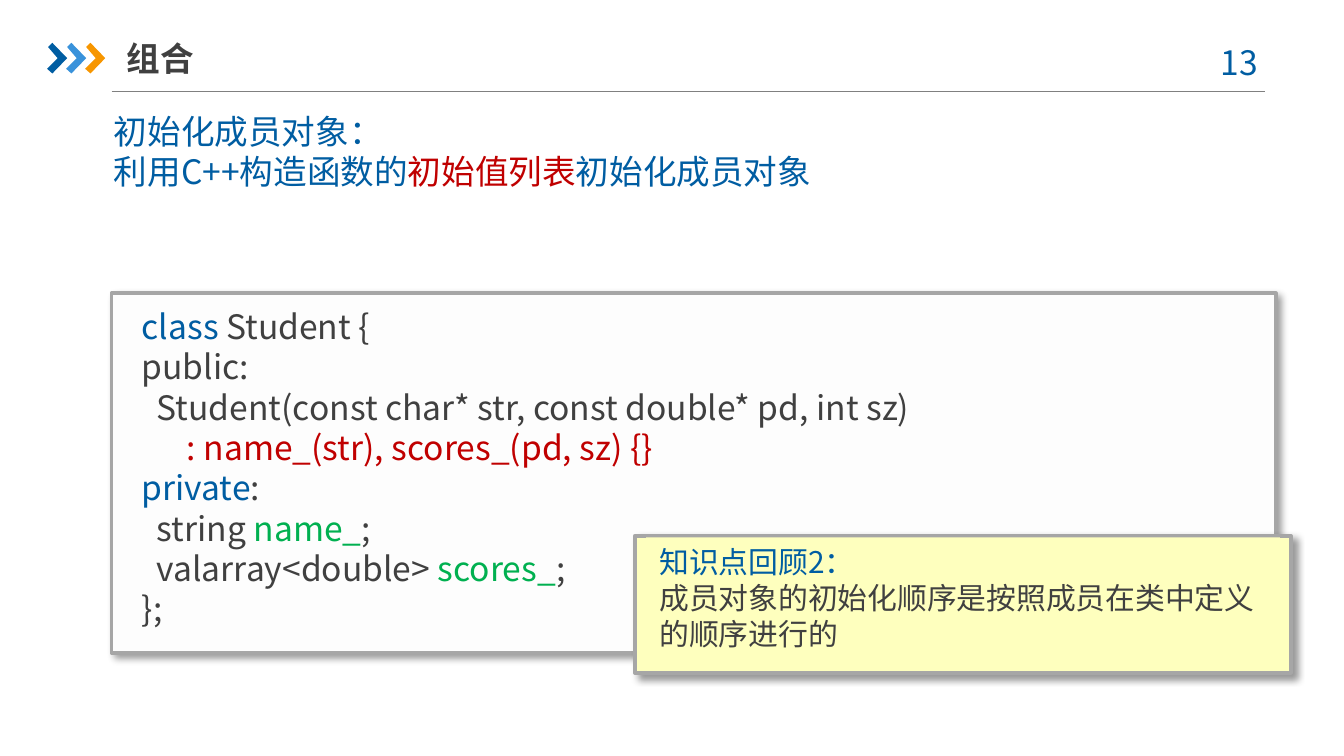
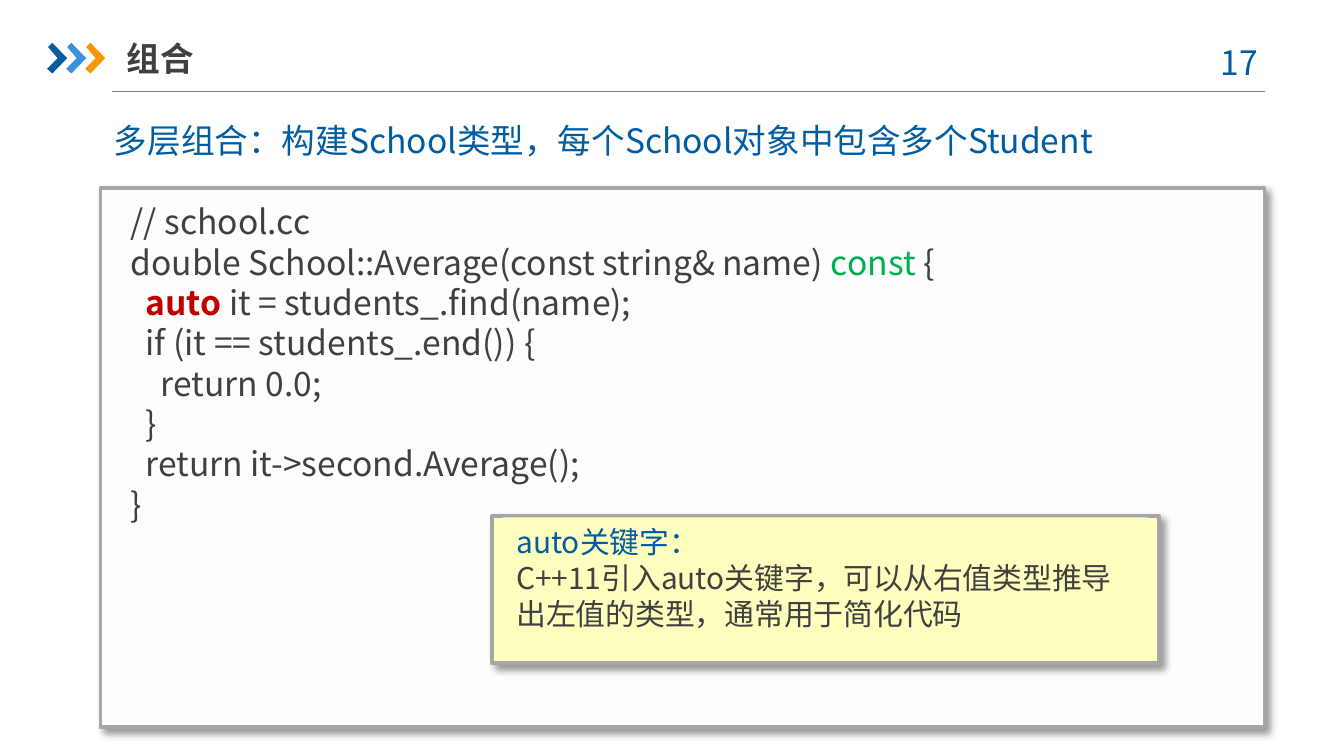
from lxml import etree
from pptx import Presentation
from pptx.dml.color import RGBColor
from pptx.enum.shapes import MSO_CONNECTOR, MSO_SHAPE
from pptx.enum.text import MSO_ANCHOR, MSO_AUTO_SIZE, PP_ALIGN
from pptx.oxml.ns import qn
from pptx.util import Cm, Pt

RECT, STRAIGHT = MSO_SHAPE.RECTANGLE, MSO_CONNECTOR.STRAIGHT
TOP, MIDDLE = MSO_ANCHOR.TOP, MSO_ANCHOR.MIDDLE
LEFT, CENTER = PP_ALIGN.LEFT, PP_ALIGN.CENTER

FONT = "Noto Sans CJK SC"
COLORS = {
    "blue": "005DA2", "sky": "3992DB", "orange": "F79600", "text": "404040",
    "red": "C00000", "green": "00B050", "rule": "808080", "border": "A6A6A6",
    "paper": "FDFDFD", "note": "FEFFBE", "shadow": "000000",
}

# Content: a line is a list of (text, colour) runs or (text, colour, bold)
TITLE = "组合"
SLIDES = [
    {
        "number": "13",
        "lead_box": (1.9, 1.96, 21, 1.8),
        "lead": [
            [("初始化成员对象：", "blue")],
            [("利用C++构造函数的", "blue"), ("初始值列表", "red"),
             ("初始化成员对象", "blue")],
        ],
        "code_box": (2.11, 5.54, 22, 6.8),
        "code": [
            [("class ", "blue"), ("Student {", "text")],
            [("public:", "text")],
            [("  Student(const char* str, const double* pd, int sz)", "text")],
            [("      : name_(str), scores_(pd, sz) {}", "red")],
            [("private", "blue"), (":", "text")],
            [("  string ", "text"), ("name_", "green"), (";", "text")],
            [("  valarray<double> ", "text"), ("scores_", "green"), (";", "text")],
            [("};", "text")],
        ],
        "note_box": (12, 10.13, 12.4, 2.59),
        "note": ("知识点回顾2：",
                 "成员对象的初始化顺序是按照成员在类中定义的顺序进行的"),
    },
    {
        "number": "17",
        "lead_box": (1.9, 2.13, 21, 1.02),
        "lead": [[("多层组合：构建School类型，每个School对象中包含多个Student", "blue")]],
        "code_box": (1.9, 3.56, 22, 10.19),
        "code": [
            [("// school.cc", "text")],
            [("double School::Average(const string& name) ", "text"),
             ("const ", "green"), ("{", "text")],
            [("  ", "text"), ("auto ", "red", True),
             ("it = students_.find(name);", "text")],
            [("  if (it == students_.end()) {", "text")],
            [("    return 0.0;", "text")],
            [("  }", "text")],
            [("  return it->second.Average();", "text")],
            [("}", "text")],
        ],
        "note_box": (9.3, 9.75, 12.6, 2.79),
        "note": ("auto关键字：",
                 "C++11引入auto关键字，可以从右值类型推导出左值的类型，通常用于简化代码"),
    },
]

# Shared layout, in centimetres
TITLE_BOX = (2.39, 0.56, 6.53, 1.07)
NUMBER_BOX = (22.5, 0.66, 1.85, 1.02)
RULE = (2.11, 1.73, 23.9, 1.73)
CHEVRON = [(0.02, 0.08), (0.1, 0), (0.38, 0.29), (0.1, 0.58), (0, 0.49), (0.2, 0.29)]
CHEVRON_LEFT, CHEVRON_TOP, CHEVRON_STEP = 0.89, 0.81, 0.36
CODE_INSET, CODE_HEIGHT = (0.32, 0.12), 6.4
NOTE_INSET, NOTE_HEIGHT = (0.21, 0.03), 2.3
LINE_RATIO = 1.2


def cm(values):
    return [Cm(v) for v in values]


def rgb(name):
    return RGBColor.from_string(COLORS[name])


def place(sp, box):
    for name, value in zip(("left", "top", "width", "height"), cm(box)):
        setattr(sp, name, value)


def add_run(p, text, color, bold=False, size=18):
    r = p.add_run()
    r.text = text
    for name, value in {"name": FONT, "size": Pt(size), "bold": bold}.items():
        setattr(r.font, name, value)
    r.font.color.rgb = rgb(color)
    etree.SubElement(r.font._element, qn("a:ea"), typeface=FONT)


def format_paragraph(p, size=18, align=LEFT, after=0):
    pPr = p._p.get_or_add_pPr()
    pPr.set("marL", "0")
    pPr.set("indent", "0")
    etree.SubElement(pPr, qn("a:buNone"))
    values = {"alignment": align, "space_before": Pt(0), "space_after": Pt(after),
              "line_spacing": Pt(size * LINE_RATIO)}
    for name, value in values.items():
        setattr(p, name, value)


def write(sp, lines, align=LEFT, anchor=TOP):
    tf = sp.text_frame
    values = {"word_wrap": True, "auto_size": MSO_AUTO_SIZE.NONE,
              "vertical_anchor": anchor}
    for name, value in values.items():
        setattr(tf, name, value)
    for i, runs in enumerate(lines):
        p = tf.add_paragraph() if i else tf.paragraphs[0]
        format_paragraph(p, align=align)
        for run in runs:
            add_run(p, *run)


def fill(sp, color):
    sp.shadow.inherit = False
    sp.fill.solid()
    sp.fill.fore_color.rgb = rgb(color)
    sp.line.fill.background()


def add_shadow(sp):
    effects = sp._element.spPr.find(qn("a:effectLst"))
    shadow = etree.SubElement(
        effects, qn("a:outerShdw"), blurRad=str(Pt(4)), dist=str(Pt(3)),
        dir=str(45 * 60000), algn="tl", rotWithShape="0")
    color = etree.SubElement(shadow, qn("a:srgbClr"), val=COLORS["shadow"])
    etree.SubElement(color, qn("a:alpha"), val="40000")


def add_panel(s, box, color, inset, text_height):
    """Draw a framed panel and return the borderless text area inside it."""
    frame = s.shapes.add_shape(RECT, *cm(box))
    fill(frame, color)
    frame.line.color.rgb = rgb("border")
    frame.line.width = Pt(2)
    add_shadow(frame)
    left, top, width, _ = box
    dx, dy = inset
    area = s.shapes.add_shape(
        RECT, *cm((left + dx, top + dy, width - 2 * dx, text_height)))
    fill(area, color)
    return area


def add_header(s, number):
    # Rule under the title
    rule = s.shapes.add_connector(STRAIGHT, *cm(RULE))
    rule.line.color.rgb = rgb("rule")
    rule.line.width = Pt(0.75)
    etree.SubElement(rule._element.spPr, qn("a:effectLst"))
    # Chevrons
    for i, color in enumerate(("blue", "sky", "orange")):
        left = CHEVRON_LEFT + i * CHEVRON_STEP
        points = [cm((left + x, CHEVRON_TOP + y)) for x, y in CHEVRON]
        builder = s.shapes.build_freeform(*points[0])
        builder.add_line_segments(points[1:], close=True)
        fill(builder.convert_to_shape(), color)
    # Page number and title
    write(s.shapes.add_textbox(*cm(NUMBER_BOX)), [[(number, "blue")]], CENTER)
    title = s.shapes.title
    place(title, TITLE_BOX)
    title.text_frame.margin_left = title.text_frame.margin_right = 0
    write(title, [[(TITLE, "text", True)]], anchor=MIDDLE)


def add_note(s, box, heading, body):
    area = add_panel(s, box, "note", NOTE_INSET, NOTE_HEIGHT)
    write(area, [])
    p = area.text_frame.paragraphs[0]
    format_paragraph(p, size=16, after=6)
    add_run(p, heading, "blue", size=16)
    p.add_line_break()
    add_run(p, body, "text", size=16)


def main():
    prs = Presentation()
    prs.slide_width, prs.slide_height = cm((25.4, 14.29))
    for content in SLIDES:
        s = prs.slides.add_slide(prs.slide_layouts[1])
        add_header(s, content["number"])
        lead = s.placeholders[1]
        place(lead, content["lead_box"])
        write(lead, content["lead"])
        code = add_panel(s, content["code_box"], "paper", CODE_INSET, CODE_HEIGHT)
        write(code, content["code"])
        add_note(s, content["note_box"], *content["note"])
    prs.save("out.pptx")


if __name__ == "__main__":
    main()
